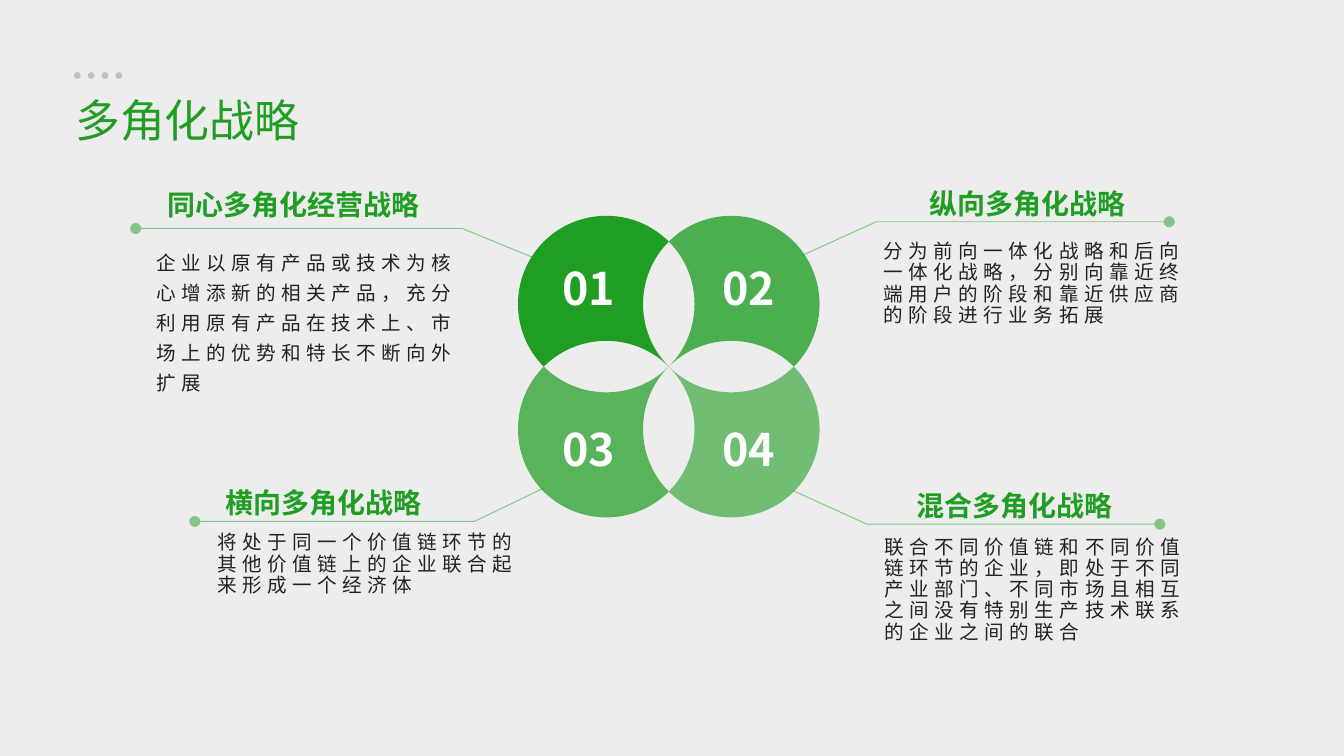
from dataclasses import dataclass
from itertools import pairwise
from math import sqrt
from typing import NamedTuple

from lxml.etree import SubElement as Sub
from pptx import Presentation
from pptx.dml.color import RGBColor as Rgb
from pptx.enum.shapes import MSO_SHAPE as Shape
from pptx.enum.text import MSO_ANCHOR as Anchor
from pptx.enum.text import MSO_AUTO_SIZE as Fit
from pptx.enum.text import PP_ALIGN as Align
from pptx.oxml.ns import qn
from pptx.util import Inches, Pt


@dataclass(frozen=True)
class Theme:
    font: str = "Noto Sans CJK SC"
    green: str = "1F9E23"
    ink: str = "222222"
    paper: str = "EDEDED"
    dot: str = "BFBFBF"
    white: str = "FFFFFF"
    title: float = 24
    head: float = 15
    body: float = 10.5
    tight: float = 0.9


class Spot(NamedTuple):
    col: float
    row: float


class Box(NamedTuple):
    col: float
    row: float
    wide: float
    high: float


@dataclass(frozen=True)
class Topic:
    head: str
    text: str
    top: Box
    body: Box
    lead: tuple[Spot, Spot, Spot]
    side: tuple[int, int]
    alpha: int
    pitch: object = Theme.tight


THEME = Theme()
WIDE = Inches(10)
HIGH = WIDE * 9 // 16
CELL = WIDE / 100
HUB = Spot(49.76, 27.28)
HALF = 4.65
BEND = 0.55

TOPICS = (
    Topic("同心多角化经营战略",
          "企业以原有产品或技术为核心增添新的相关产品，充分利用原有产品在技术上、市场上的优势和特长不断向外扩展",
          Box(11.2, 13.75, 21.3, 3.3), Box(11.24, 17.72, 23.4, 12.2),
          (Spot(40.5, 19.5), Spot(34.4, 17), Spot(10.1, 17)), (-1, -1), 100, Pt(16)),
    Topic("纵向多角化战略",
          "分为前向一体化战略和后向一体化战略，分别向靠近终端用户的阶段和靠近供应商的阶段进行业务拓展",
          Box(66.1, 13.7, 20.7, 3.3), Box(65.35, 17.5, 23.4, 7.3),
          (Spot(59.7, 19), Spot(65.2, 16.5), Spot(87, 16.5)), (1, -1), 78),
    Topic("横向多角化战略",
          "将处于同一个价值链环节的其他价值链上的企业联合起来形成一个经济体",
          Box(14.75, 35.9, 18.6, 3.3), Box(15.77, 39.17, 23.4, 5.7),
          (Spot(40.5, 36.3), Spot(35.3, 38.8), Spot(14.5, 38.8)), (-1, 1), 72),
    Topic("混合多角化战略",
          "联合不同价值链和不同价值链环节的企业，即处于不同产业部门、不同市场且相互之间没有特别生产技术联系的企业之间的联合",
          Box(64.25, 36.15, 22.5, 3.3), Box(65.42, 39.5, 23.4, 8.9),
          (Spot(59, 36.5), Spot(64.5, 39), Spot(86.3, 39)), (1, 1), 60),
)


def span(cells: float) -> int:
    return round(cells * CELL)


def place(shape, box: Box) -> None:
    shape.left, shape.top, shape.width, shape.height = map(span, box)


def fade(fill, alpha: int) -> None:
    tint = fill._xPr.find(".//" + qn("a:srgbClr"))
    Sub(tint, qn("a:alpha"), val=str(alpha * 1000))


def paint(shape, color: str, alpha: int = 100) -> None:
    shape.shadow.inherit = False
    shape.line.fill.background()
    shape.fill.solid()
    shape.fill.fore_color.rgb = Rgb.from_string(color)
    if alpha < 100:
        fade(shape.fill, alpha)


def say(shape, text: str, *, size: float, color: str, bold: bool = False,
        align=Align.LEFT, pitch=None, gap: int = 0, inset: float = 0.05,
        side: float = 0.04, wrap: bool = True) -> None:
    frame = shape.text_frame
    frame.word_wrap = wrap
    frame.auto_size = Fit.SHAPE_TO_FIT_TEXT
    frame.vertical_anchor = Anchor.TOP
    frame.margin_left = frame.margin_right = Inches(side)
    frame.margin_top = frame.margin_bottom = Inches(inset)
    para = frame.paragraphs[0]
    para.alignment = align
    if pitch is not None:
        para.line_spacing = pitch
    run = para.add_run()
    run.text = text
    font = run.font
    font.size, font.bold, font.name = Pt(size), bold, THEME.font
    font.color.rgb = Rgb.from_string(color)
    props = run._r.get_or_add_rPr()
    Sub(props, qn("a:ea"), typeface=THEME.font)
    if gap:
        props.set("spc", str(gap * 100))


def write(slide, box: Box, text: str, **form) -> None:
    say(slide.shapes.add_textbox(*map(span, box)), text, **form)


def trace(slide, spots: list[Spot], close: bool):
    first, *rest = [(span(s.col), span(s.row)) for s in spots]
    pen = slide.shapes.build_freeform(*first)
    pen.add_line_segments(rest, close=close)
    return pen.convert_to_shape()


def curve(part, start: Spot, end: Spot, hollow: bool, reach: float) -> None:
    if hollow:
        pulls = [Spot(p.col * (1 - BEND), p.row * (1 - BEND)) for p in (start, end)]
    else:
        pulls = [Spot(p.col + BEND * q.col, p.row + BEND * q.row)
                 for p, q in ((start, end), (end, start))]
    part.clear()
    part.tag = qn("a:cubicBezTo")
    for spot in (*pulls, end):
        Sub(part, qn("a:pt"), x=str(span(reach * (1 + spot.col))),
            y=str(span(reach * (1 + spot.row))))


def petal(slide, side: tuple[int, int], alpha: int) -> None:
    reach = HALF * sqrt(2)
    across, down = side
    tips = [Spot(-(across + down) / 2, (across - down) / 2)]
    for _ in range(4):
        tips.append(Spot(tips[-1].row, -tips[-1].col))
    mid = Spot(HUB.col + across * HALF, HUB.row + down * HALF)
    spots = [Spot(mid.col + reach * t.col, mid.row + reach * t.row) for t in tips]
    shape = trace(slide, spots, True)
    parts = list(shape._element.iter(qn("a:lnTo")))
    for rank, (part, ends) in enumerate(zip(parts, pairwise(tips))):
        curve(part, *ends, rank in (0, 3), reach)
    shape.rotation = 45
    paint(shape, THEME.green, alpha)


def leader(slide, spots: tuple[Spot, ...]) -> None:
    shape = trace(slide, spots, False)
    shape.shadow.inherit = False
    shape.fill.background()
    line = shape.line
    line.width = Pt(0.5)
    line.color.rgb = Rgb.from_string(THEME.green)
    fade(line.fill, 50)
    Sub(line._get_or_add_ln(), qn("a:tailEnd"), type="oval")


def draw(slide, rank: int, topic: Topic) -> None:
    leader(slide, topic.lead)
    petal(slide, topic.side, topic.alpha)
    across, down = topic.side
    mark = Box(HUB.col + across * 5.95 - 2.6, HUB.row + 0.37 + down * 6 - 2.2, 5.2, 4.4)
    write(slide, mark, f"{rank:02}", size=THEME.title, color=THEME.white, bold=True,
          align=Align.CENTER, pitch=THEME.tight, inset=0.04)
    write(slide, topic.top, topic.head, size=THEME.head, color=THEME.green, bold=True,
          align=Align.CENTER, pitch=THEME.tight)
    write(slide, topic.body, topic.text, size=THEME.body, color=THEME.ink,
          pitch=topic.pitch, gap=3)


def main() -> None:
    deck = Presentation()
    deck.slide_width, deck.slide_height = WIDE, HIGH
    slide = deck.slides.add_slide(deck.slide_layouts[5])
    back = slide.background.fill
    back.solid()
    back.fore_color.rgb = Rgb.from_string(THEME.paper)
    for rank in range(4):
        dot = Box(5.5 + rank * 1.03, 5.37, 0.5, 0.5)
        paint(slide.shapes.add_shape(Shape.OVAL, *map(span, dot)), THEME.dot)
    title = slide.shapes.title
    place(title, Box(4.6, 6.4, 18.7, 5))
    say(title, "多角化战略", size=THEME.title, color=THEME.green, side=0.1, wrap=False)
    for rank, topic in enumerate(TOPICS, 1):
        draw(slide, rank, topic)
    deck.save("out.pptx")


if __name__ == "__main__":
    main()
